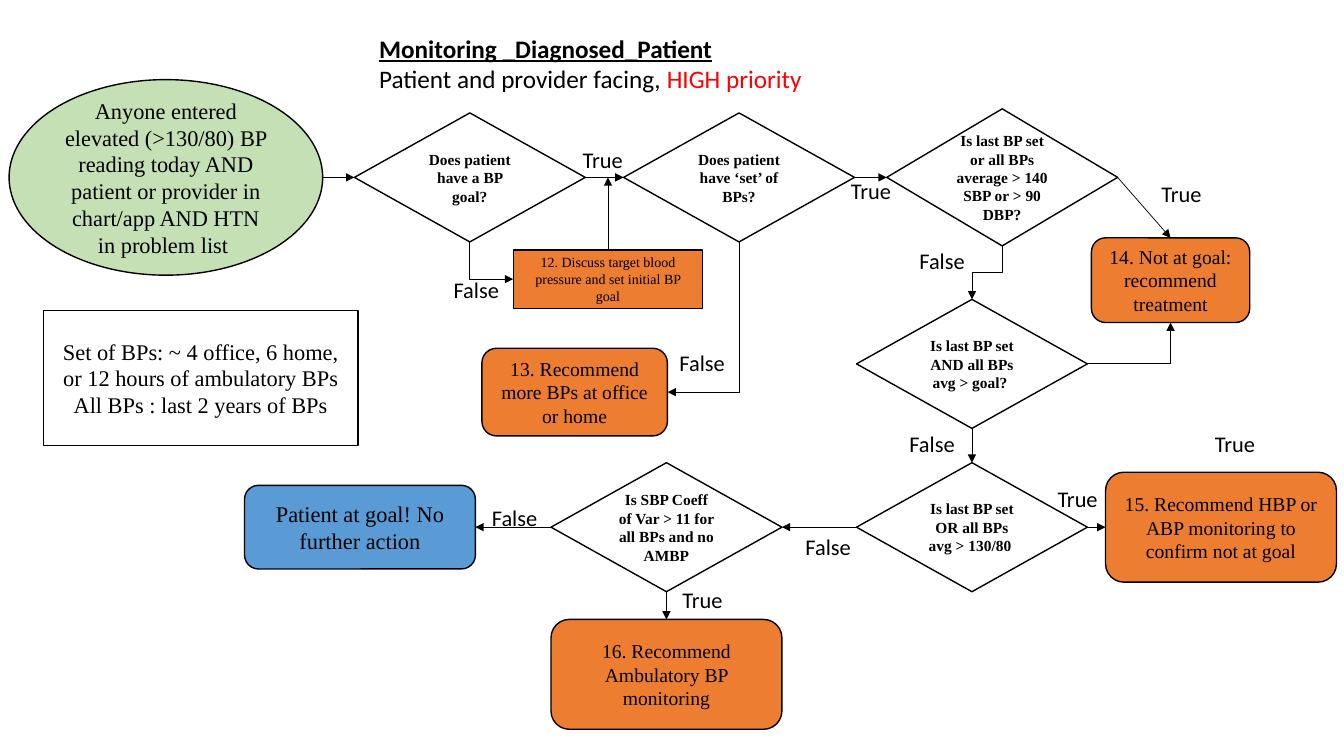
"""Build the decision flow for monitoring a diagnosed blood pressure patient."""
from dataclasses import dataclass
from typing import NamedTuple, Optional

from lxml import etree
from pptx import Presentation
from pptx import util as u
from pptx.dml import color
from pptx.enum import shapes, text
from pptx.oxml import ns

WIDTH, HEIGHT = u.Inches(13.33), u.Inches(7.5)
COLUMN, ROW = WIDTH / 133.3, HEIGHT / 75
TOP_LANE, MIDDLE_LANE, BOTTOM_LANE = 17.6, 36.1, 52.3
SERIF, SANS = "Times New Roman", "Calibri"
BLACK, WHITE, RED = "000000", "FFFFFF", "FF0000"
GREEN, ORANGE, BLUE = "C5E0B4", "ED7D31", "5B9BD5"
TOP, LEFT, BOTTOM, RIGHT = range(4)
DIAMOND = shapes.MSO_SHAPE.DIAMOND
ROUNDED = shapes.MSO_SHAPE.ROUNDED_RECTANGLE
OVAL = shapes.MSO_SHAPE.OVAL
BOX = shapes.MSO_SHAPE.RECTANGLE


@dataclass(frozen=True)
class Step:
    """A flow step, placed by its centre in grid columns and rows."""
    wording: str
    x: float
    y: float
    width: float = 22.9
    height: float = 12.8
    outline: shapes.MSO_SHAPE = DIAMOND
    fill: str = WHITE
    size: int = 11


class Link(NamedTuple):
    """An arrow between the sides of two steps, bent by a preset if named."""
    start: str
    start_side: int
    end: str
    end_side: int
    bend: Optional[str] = None


class Answer(NamedTuple):
    """A True or False label at a grid position."""
    wording: str
    x: float
    y: float


STEPS = {
    "entry": Step("Anyone entered elevated (>130/80) BP reading today AND patient or "
                  "provider in chart/app AND HTN in problem list ",
                  16.45, TOP_LANE, 31.1, 19.4, OVAL, GREEN, 16),
    "has_goal": Step("Does patient have a BP goal?", 46.6, TOP_LANE),
    "has_set": Step("Does patient have ‘set’ of BPs?", 73.3, TOP_LANE),
    "over_140": Step("Is last BP set or all BPs average > 140 SBP or > 90 DBP?",
                     99.4, TOP_LANE, height=13.6),
    "over_goal": Step("Is last BP set AND all BPs avg > goal? ", 96.4, MIDDLE_LANE),
    "over_130": Step("Is last BP set OR all BPs avg > 130/80 ", 96.4, BOTTOM_LANE),
    "variation": Step("Is SBP Coeff of Var > 11 for all BPs and no AMBP",
                      66.1, BOTTOM_LANE),
    "set_goal": Step("12. Discuss target blood pressure and set initial BP goal",
                     60.3, 27.7, 18.8, 5.8, BOX, ORANGE, 10),
    "more_bps": Step("13. Recommend more BPs at office or home",
                     57.0, 38.9, 18.4, 8.7, ROUNDED, ORANGE, 14),
    "treatment": Step("14. Not at goal: recommend treatment",
                      116.1, 27.8, 15.7, 8.4, ROUNDED, ORANGE, 14),
    "confirm": Step("15. Recommend HBP or ABP monitoring to confirm not at goal",
                    121.1, BOTTOM_LANE, 22.9, 10.9, ROUNDED, ORANGE, 14),
    "ambulatory": Step("16. Recommend Ambulatory BP monitoring",
                       66.1, 66.9, 22.9, 10.9, ROUNDED, ORANGE, 14),
    "at_goal": Step("Patient at goal! No further action",
                    35.7, BOTTOM_LANE, 22.9, 8.3, ROUNDED, BLUE, 16),
    "definitions": Step("Set of BPs: ~ 4 office, 6 home, or 12 hours of ambulatory BPs\n"
                        "All BPs : last 2 years of BPs",
                        19.9, 37.5, 31.2, 13.4, BOX, WHITE, 16),
}
LINKS = [
    Link("entry", RIGHT, "has_goal", LEFT),
    Link("has_goal", RIGHT, "has_set", LEFT),
    Link("has_set", RIGHT, "over_140", LEFT),
    Link("over_140", RIGHT, "treatment", TOP),
    Link("over_goal", BOTTOM, "over_130", TOP),
    Link("over_130", RIGHT, "confirm", LEFT),
    Link("over_130", LEFT, "variation", RIGHT),
    Link("variation", LEFT, "at_goal", RIGHT),
    Link("variation", BOTTOM, "ambulatory", TOP),
    Link("has_goal", BOTTOM, "set_goal", LEFT, "bentConnector2"),
    Link("has_set", BOTTOM, "more_bps", RIGHT, "bentConnector2"),
    Link("over_140", BOTTOM, "over_goal", TOP, "bentConnector3"),
    Link("over_goal", RIGHT, "treatment", BOTTOM, "bentConnector2"),
]
ANSWERS = [
    Answer("True", 56.8, 14.0), Answer("True", 83.4, 17.1),
    Answer("True", 114.2, 17.4), Answer("True", 119.5, 42.2),
    Answer("True", 103.9, 47.6), Answer("True", 66.7, 57.7),
    Answer("False", 44.0, 26.9), Answer("False", 90.2, 24.0),
    Answer("False", 66.4, 34.1), Answer("False", 89.2, 42.2),
    Answer("False", 78.9, 52.4), Answer("False", 47.8, 49.5),
]


def cells(x: float, y: float, *size: float) -> list[int]:
    """Turn alternating columns and rows into lengths."""
    return [round(n * (ROW if i % 2 else COLUMN)) for i, n in enumerate((x, y, *size))]


def paint(part, hex_color: str) -> None:
    """Give a fill one solid colour."""
    part.solid()
    part.fore_color.rgb = color.RGBColor.from_string(hex_color)


def write(paragraph, wording: str, *, size: int, font: str = SANS, ink: str = BLACK,
          bold: bool = False, underline: bool = False, align=text.PP_ALIGN.LEFT) -> None:
    """Add one formatted run to a paragraph."""
    paragraph.alignment = align
    run = paragraph.add_run()
    run.text = wording
    run.font.size, run.font.name = u.Pt(size), font
    run.font.bold, run.font.underline = bold, underline
    paint(run.font.fill, ink)


def draw_step(slide, step: Step):
    """Draw a step with its centred wording."""
    shape = slide.shapes.add_shape(step.outline, *cells(
        step.x - step.width / 2, step.y - step.height / 2, step.width, step.height))
    shape.shadow.inherit = False
    paint(shape.fill, step.fill)
    paint(shape.line.fill, BLACK)
    shape.line.width = u.Pt(1)
    frame = shape.text_frame
    frame.word_wrap, frame.vertical_anchor = True, text.MSO_ANCHOR.MIDDLE
    for i, wording in enumerate(step.wording.split("\n")):
        paragraph = frame.add_paragraph() if i else frame.paragraphs[0]
        write(paragraph, wording, size=step.size, font=SERIF, bold=step.outline == DIAMOND,
              align=text.PP_ALIGN.CENTER)
    return shape


def add_arrow(slide, bend: Optional[str] = None, ends=(0, 0, 0, 0)):
    """Add a thin black arrow."""
    kind = shapes.MSO_CONNECTOR.ELBOW if bend else shapes.MSO_CONNECTOR.STRAIGHT
    arrow = slide.shapes.add_connector(kind, *ends)
    paint(arrow.line.fill, BLACK)
    arrow.line.width = u.Pt(0.5)
    properties = arrow._element.spPr
    etree.SubElement(properties.find(ns.qn("a:ln")), ns.qn("a:tailEnd"), type="triangle")
    etree.SubElement(properties, ns.qn("a:effectLst"))
    if bend:
        properties.find(ns.qn("a:prstGeom")).set("prst", bend)
    return arrow


def turn_down(arrow) -> None:
    """Make a bent arrow leave its step downwards."""
    dx, dy = arrow.end_x - arrow.begin_x, arrow.end_y - arrow.begin_y
    middle_x, middle_y = arrow.begin_x + dx / 2, arrow.begin_y + dy / 2
    arrow.width, arrow.height = dy, abs(dx)
    arrow.left, arrow.top = round(middle_x - dy / 2), round(middle_y - abs(dx) / 2)
    frame = arrow._element.spPr.find(ns.qn("a:xfrm"))
    frame.set("rot", "5400000")
    frame.set("flipH", "0")
    frame.set("flipV", str(int(dx > 0)))


def draw_link(slide, link: Link, drawn: dict) -> None:
    """Glue an arrow to the two steps it joins."""
    arrow = add_arrow(slide, link.bend)
    arrow.begin_connect(drawn[link.start], link.start_side)
    arrow.end_connect(drawn[link.end], link.end_side)
    if STEPS[link.start].outline == OVAL:
        arrow._element.find(".//" + ns.qn("a:stCxn")).set("idx", str(2 * link.start_side))
    if link.bend and link.start_side == BOTTOM:
        turn_down(arrow)


deck = Presentation()
deck.slide_width, deck.slide_height = WIDTH, HEIGHT
flow = deck.slides.add_slide(deck.slide_layouts[5])

heading = flow.shapes.title
heading.left, heading.top, heading.width, heading.height = cells(36.6, 2.8, 45.5, 7.1)
heading.text_frame.auto_size = text.MSO_AUTO_SIZE.NONE
heading.text_frame.vertical_anchor = text.MSO_ANCHOR.TOP
write(heading.text_frame.paragraphs[0], "Monitoring _Diagnosed_Patient",
      size=18, bold=True, underline=True)
audience = heading.text_frame.add_paragraph()
write(audience, "Patient and provider facing, ", size=18)
write(audience, "HIGH priority", size=18, ink=RED)

drawn_steps = {name: draw_step(flow, step) for name, step in STEPS.items()}
for flow_link in LINKS:
    draw_link(flow, flow_link, drawn_steps)
goal_set = STEPS["set_goal"]
rejoin = add_arrow(flow, ends=cells(goal_set.x, goal_set.y - goal_set.height / 2,
                                    goal_set.x, TOP_LANE))
rejoin.begin_connect(drawn_steps["set_goal"], TOP)
for answer in ANSWERS:
    label = flow.shapes.add_textbox(*cells(answer.x, answer.y, 6.9, 3.7)).text_frame
    label.word_wrap = True
    write(label.paragraphs[0], answer.wording, size=16)
deck.save("out.pptx")
